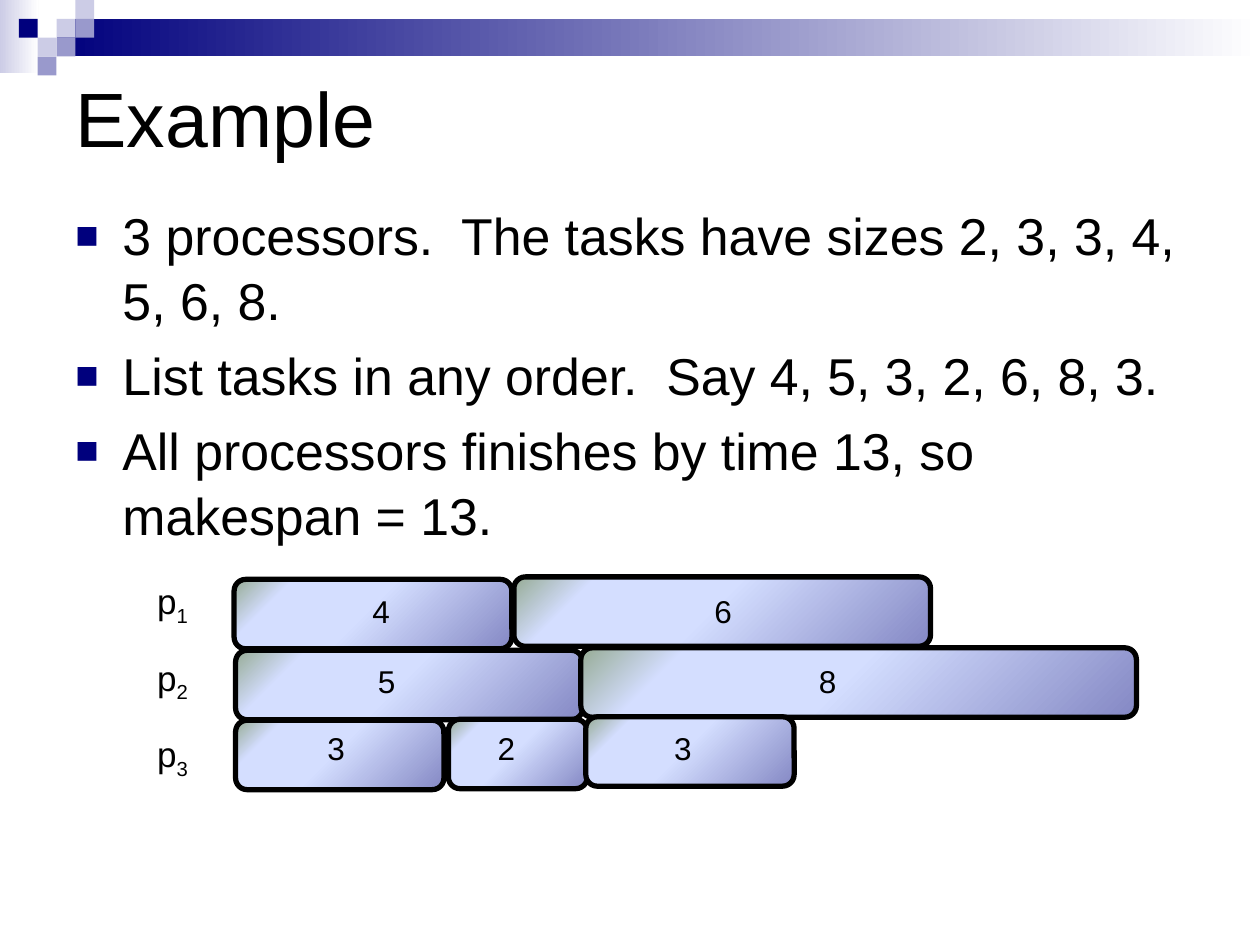
import pptx
import pptx.dml.color
import pptx.enum.shapes
import pptx.enum.text
import pptx.oxml
import pptx.oxml.ns
import pptx.util
from pptx.util import Cm

COLORS = {
    "navy": "00007D", "mid": "9999CC", "pale": "CCCCE6", "white": "FFFFFF",
    "black": "000000", "bar_dark": "8488C4", "bar_light": "D4DEFF", "bar_green": "96AB94",
}
BAR_STOPS = [(0, "bar_dark"), (53, "bar_light"), (83, "bar_light"), (100, "bar_green")]
SHAPES = pptx.enum.shapes.MSO_SHAPE
ANCHOR = pptx.enum.text.MSO_ANCHOR
ALIGN = pptx.enum.text.PP_ALIGN
qn = pptx.oxml.ns.qn


def rgb(name):
    return pptx.dml.color.RGBColor.from_string(COLORS[name])


def color_xml(tag, name, attrs=""):
    ns = pptx.oxml.ns.nsdecls("a")
    return pptx.oxml.parse_xml(
        f'<a:{tag} {ns} {attrs}><a:srgbClr val="{COLORS[name]}"/></a:{tag}>')


class SlideBuilder:
    font = "Arial"

    def __init__(self, s):
        self.s = s

    def run(self, p, text, size, subscript=False):
        r = p.add_run()
        r.text = text
        values = {"name": self.font, "size": pptx.util.Pt(size)}
        for name, value in values.items():
            setattr(r.font, name, value)
        r.font.color.rgb = rgb("black")
        if subscript:
            r._r.get_or_add_rPr().set("baseline", "-25000")

    def title(self, text, *box):
        sp = self.s.shapes.title
        for name, value in zip(("left", "top", "width", "height"), box):
            setattr(sp, name, Cm(value))
        tf = sp.text_frame
        tf.vertical_anchor = ANCHOR.MIDDLE
        p = tf.paragraphs[0]
        p.alignment = ALIGN.LEFT
        self.run(p, text, 44)

    def text_box(self, *box):
        tf = self.s.shapes.add_textbox(*map(Cm, box)).text_frame
        tf.word_wrap = True
        return tf

    def label(self, text, size, *box, subscript=""):
        p = self.text_box(*box).paragraphs[0]
        self.run(p, text, size)
        if subscript:
            self.run(p, subscript, size, subscript=True)

    def bullets(self, items, size, *box):
        tf = self.text_box(*box)
        for i, item in enumerate(items):
            p = tf.add_paragraph() if i else tf.paragraphs[0]
            values = {"space_before": pptx.util.Pt(6), "line_spacing": 1.04}
            for name, value in values.items():
                setattr(p, name, value)
            pPr = p._p.get_or_add_pPr()
            pPr.set("marL", str(Cm(0.95)))
            pPr.set("indent", str(-Cm(0.95)))
            pPr.append(color_xml("buClr", "navy"))
            for tag, attr, value in (("buSzPct", "val", "75000"),
                                     ("buFont", "typeface", self.font),
                                     ("buChar", "char", "■")):
                pPr.makeelement(qn(f"a:{tag}"))
                child = pptx.oxml.parse_xml(
                    f'<a:{tag} {pptx.oxml.ns.nsdecls("a")} {attr}="{value}"/>')
                pPr.append(child)
            self.run(p, item, size)

    def shape(self, kind, *box, fill=None, stops=None, angle=0, line=None):
        sp = self.s.shapes.add_shape(kind, *map(Cm, box))
        sp.shadow.inherit = False
        if stops:
            sp.fill.gradient()
            sp.fill.gradient_angle = angle
            gs_list = sp._element.spPr.find(".//" + qn("a:gsLst"))
            for gs in list(gs_list):
                gs_list.remove(gs)
            for pos, name in stops:
                gs_list.append(color_xml("gs", name, f'pos="{pos * 1000}"'))
        else:
            sp.fill.solid()
            sp.fill.fore_color.rgb = rgb(fill)
        if line:
            sp.line.color.rgb = rgb("black")
            sp.line.width = pptx.util.Pt(line)
        else:
            sp.line.fill.background()

    def task(self, size, left, top, label_left, label_top):
        self.shape(SHAPES.ROUNDED_RECTANGLE, left, top, 1.4 * size, 1.4,
                   stops=BAR_STOPS, angle=135, line=3)
        self.label(str(size), 18, label_left, label_top, 2.62, 1.02)


def main():
    prs = pptx.Presentation()
    prs.slide_width, prs.slide_height = Cm(25.4), Cm(19.05)
    b = SlideBuilder(prs.slides.add_slide(prs.slide_layouts[5]))

    # Header bands and checker squares
    b.shape(SHAPES.RECTANGLE, 0, 0, 0.78, 1.48, stops=[(0, "pale"), (100, "white")])
    b.shape(SHAPES.RECTANGLE, 1.14, 0.38, 24.26, 0.76, stops=[(0, "navy"), (100, "white")])
    cell = 0.38
    for col, row, fill in [(3, 1, "pale"), (4, 0, "pale"), (4, 1, "mid"), (2, 2, "pale"),
                           (1, 1, "navy"), (3, 2, "mid"), (2, 3, "mid")]:
        b.shape(SHAPES.RECTANGLE, col * cell, row * cell, cell, cell, fill=fill)

    # Title and bullets
    b.title("Example", 1.27, 1.27, 22.86, 2.18)
    b.bullets(["3 processors.  The tasks have sizes 2, 3, 3, 4, 5, 6, 8.",
               "List tasks in any order.  Say 4, 5, 3, 2, 6, 8, 3.",
               "All processors finishes by time 13, so makespan = 13."],
              29.6, 1.27, 3.94, 23.65, 5.87)

    # Schedule: label top, then (size, left, top, label left) of each task
    schedule = [
        (11.81, [(4, 4.72, 11.68, 7.26), (6, 10.36, 11.63, 14.15)]),
        (13.23, [(5, 4.75, 13.11, 7.37), (8, 11.71, 13.06, 16.26)]),
        (14.58, [(3, 4.75, 14.52, 6.35), (2, 9.04, 14.5, 9.78), (3, 11.81, 14.45, 13.34)]),
    ]
    for i, (label_top, tasks) in enumerate(schedule):
        for size, left, top, label_left in tasks:
            b.task(size, left, top, label_left, label_top)
        b.label("p", 20, 2.92, 11.56 + 1.54 * i, 1.73, 1.12, subscript=str(i + 1))

    prs.save("out.pptx")


if __name__ == "__main__":
    main()
